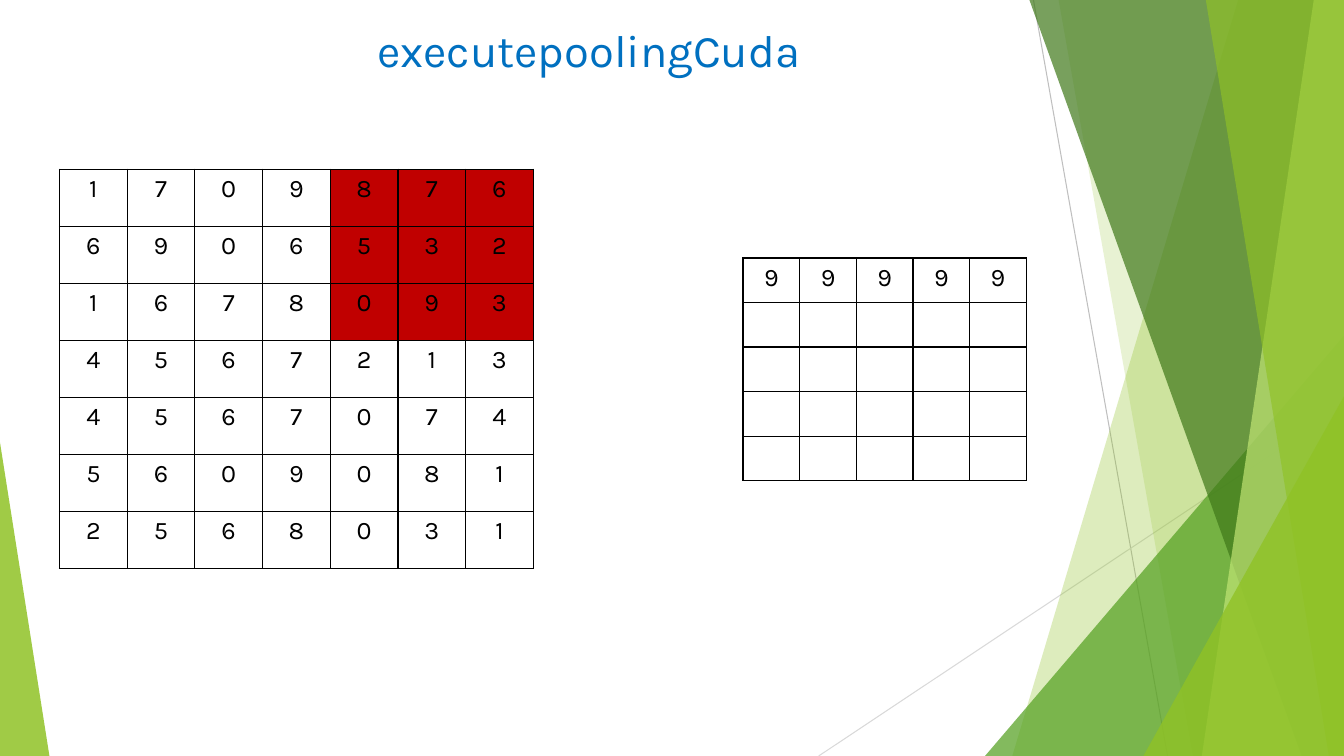
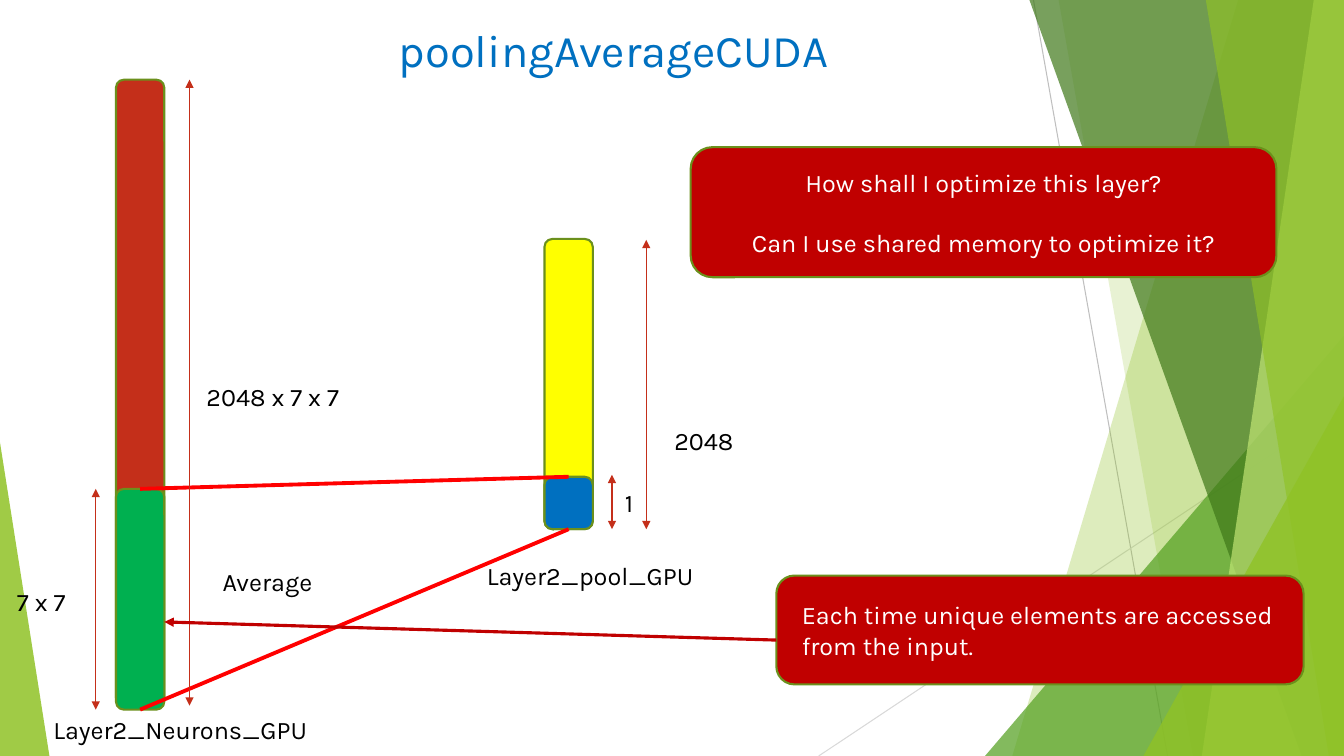
from lxml.etree import SubElement
from pptx import Presentation
from pptx.dml.color import RGBColor
from pptx.enum.shapes import MSO_CONNECTOR, MSO_SHAPE
from pptx.enum.text import MSO_ANCHOR, PP_ALIGN
from pptx.oxml.ns import qn
from pptx.util import Inches, Pt

LEFT, CENTER = PP_ALIGN.LEFT, PP_ALIGN.CENTER
TOP, MIDDLE = MSO_ANCHOR.TOP, MSO_ANCHOR.MIDDLE
ROUNDED, TRIANGLE = MSO_SHAPE.ROUNDED_RECTANGLE, MSO_SHAPE.ISOSCELES_TRIANGLE
STRAIGHT = MSO_CONNECTOR.STRAIGHT

WIDTH, HEIGHT = 13.33, 7.5
FONT = "Karla"
BLACK, WHITE, TITLE = "000000", "FFFFFF", "0070C0"
LIME, LEAF, FOREST, PALE = "90C226", "54A021", "3F7819", "C0E474"
OUTLINE, RUST, RED, CARD = "6B901C", "C42F1A", "FF0000", "C00000"
YELLOW, GREEN, BLUE = "FFFF00", "00B050", "0070C0"


def rgb(color):
    return RGBColor.from_string(color)


class Deck:
    def __init__(self):
        self.prs = Presentation()
        self.prs.slide_width = Inches(WIDTH)
        self.prs.slide_height = Inches(HEIGHT)
        self.slide = None

    def add_slide(self, title, left):
        self.slide = self.prs.slides.add_slide(self.prs.slide_layouts[6])
        self.backdrop()
        self.text(title, left, 0.17, 9.4, 0.75, size=32.4, color=TITLE, align=CENTER)

    # Shared green facets
    def backdrop(self):
        self.line((10.25, 0), (11.58, HEIGHT), "BFBFBF", 0.75)
        self.line((WIDTH, 4.03), (8.12, HEIGHT), "D9D9D9", 0.75)
        self.facet(12.28, 10.04, LIME, 30)
        self.facet(10.5, 11.83, LIME, 20)
        self.triangle(9.77, 3.33, 3.56, 1, LEAF, 72)
        self.facet(10.21, 12.91, FOREST, 70)
        self.facet(13.03, 11.92, PALE, 70)
        self.facet(11.96, 13.18, LIME, 65)
        self.triangle(11.34, 3.93, 1.99, 1, LIME, 80)
        self.triangle(0, 4.39, 0.49, 0, LIME, 85)

    def facet(self, top_x, bottom_x, color, opacity):
        """Full-height panel from a slanted left edge to the slide's right edge."""
        corners = [(WIDTH, 0), (WIDTH, HEIGHT), (bottom_x, HEIGHT)]
        builder = self.slide.shapes.build_freeform(Inches(top_x), 0)
        builder.add_line_segments([(Inches(x), Inches(y)) for x, y in corners])
        self.paint(builder.convert_to_shape(), color, opacity)

    def triangle(self, x, y, w, apex, color, opacity):
        """Triangle that stands on the bottom edge of the slide."""
        sp = self.slide.shapes.add_shape(
            TRIANGLE, Inches(x), Inches(y), Inches(w), Inches(HEIGHT - y))
        sp.adjustments[0] = apex
        self.paint(sp, color, opacity)

    def paint(self, sp, color, opacity=100, outline=None):
        sp.shadow.inherit = False
        sp.fill.solid()
        sp.fill.fore_color.rgb = rgb(color)
        if opacity < 100:
            fill = sp._element.spPr.find(qn("a:solidFill"))
            SubElement(fill[0], qn("a:alpha"), val=str(opacity * 1000))
        if outline:
            sp.line.color.rgb = rgb(outline)
            sp.line.width = Pt(1.5)
        else:
            sp.line.fill.background()

    # Lines and arrows
    def line(self, start, end, color, width, head=False, tail=False):
        points = [Inches(v) for v in (*start, *end)]
        cn = self.slide.shapes.add_connector(STRAIGHT, *points)
        cn.line.color.rgb = rgb(color)
        cn.line.width = Pt(width)
        spPr = cn._element.spPr
        for tag, wanted in (("a:headEnd", head), ("a:tailEnd", tail)):
            if wanted:
                SubElement(spPr.find(qn("a:ln")), qn(tag), type="triangle")
        SubElement(spPr, qn("a:effectLst"))

    def measure(self, x, top, bottom):
        self.line((x, bottom), (x, top), RUST, 1, head=True, tail=True)

    # Text
    def style(self, tf, size=18, color=BLACK, align=LEFT):
        for p in tf.paragraphs:
            p.alignment = align
            for r in p.runs:
                r.font.name = FONT
                r.font.size = Pt(size)
                r.font.color.rgb = rgb(color)

    def text(self, text, x, y, w, h=0.4, **style):
        tf = self.slide.shapes.add_textbox(
            Inches(x), Inches(y), Inches(w), Inches(h)).text_frame
        tf.word_wrap = True
        tf.vertical_anchor = TOP
        tf.text = text
        self.style(tf, **style)

    # Rounded bars and cards
    def box(self, x, y, w, h, color):
        sp = self.slide.shapes.add_shape(
            ROUNDED, Inches(x), Inches(y), Inches(w), Inches(h))
        self.paint(sp, color, outline=OUTLINE)
        return sp

    def card(self, lines, x, y, w, h, align=LEFT, margins=(0.1, 0.1)):
        tf = self.box(x, y, w, h, CARD).text_frame
        tf.word_wrap = True
        tf.vertical_anchor = MIDDLE
        tf.margin_left, tf.margin_right = (Inches(m) for m in margins)
        tf.text = "\n".join(lines)
        for p in tf.paragraphs[1:]:
            p.space_before = Pt(21)
        self.style(tf, color=WHITE, align=align)

    # Number grids
    def grid(self, rows, x, y, w, h, is_marked=lambda row, col: False):
        n = len(rows)
        table = self.slide.shapes.add_table(
            n, n, Inches(x), Inches(y), Inches(w), Inches(h)).table
        table.first_row = table.horz_banding = False
        for i, row in enumerate(rows):
            table.rows[i].height = Inches(h / n)
            table.columns[i].width = Inches(w / n)
            for j, value in enumerate(row):
                cell = table.cell(i, j)
                cell.text = value.strip()
                self.style(cell.text_frame, align=CENTER)
                self.borders(cell)
                cell.fill.solid()
                cell.fill.fore_color.rgb = rgb(CARD if is_marked(i, j) else WHITE)

    def borders(self, cell):
        tcPr = cell._tc.get_or_add_tcPr()
        for side in ("a:lnL", "a:lnR", "a:lnT", "a:lnB"):
            ln = SubElement(tcPr, qn(side), w=str(Pt(1)))
            SubElement(SubElement(ln, qn("a:solidFill")), qn("a:srgbClr"), val=BLACK)


def pooling_slide(deck):
    deck.add_slide("executepoolingCuda", 1.14)
    values = ["1709876", "6906532", "1678093", "4567213",
              "4567074", "5609081", "2568031"]
    deck.grid(values, 0.59, 1.68, 4.7, 3.96,
              is_marked=lambda row, col: row < 3 and col > 3)
    deck.grid(["99999"] + [" " * 5] * 4, 7.37, 2.56, 2.81, 2.21)


def average_slide(deck):
    deck.add_slide("poolingAverageCUDA", 1.39)
    bar_w, neurons_x, pool_x = 0.48, 1.15, 5.4
    neurons_mid, pool_mid = neurons_x + bar_w / 2, pool_x + bar_w / 2

    # Layers, each with the part that is averaged
    deck.box(neurons_x, 0.79, bar_w, 6.21, RUST)
    deck.box(pool_x, 2.37, bar_w, 2.88, YELLOW)
    deck.box(neurons_x, 4.85, bar_w, 2.19, GREEN)
    deck.box(pool_x, 4.73, bar_w, 0.52, BLUE)
    for neurons_y, pool_y in ((4.85, 4.73), (7.04, 5.25)):
        deck.line((neurons_mid, neurons_y), (pool_mid, pool_y), RED, 2.75)

    # Dimensions and labels
    for x, top, bottom in ((0.95, 4.85, 7.04), (1.88, 0.79, 7),
                           (6.07, 4.71, 5.25), (6.41, 2.38, 5.25)):
        deck.measure(x, top, bottom)
    for label, x, y, w in (("7 x 7", 0.07, 5.77, 1.19),
                           ("2048 x 7 x 7", 1.95, 3.73, 1.74),
                           ("1", 6.1, 4.79, 0.37),
                           ("2048", 6.59, 4.17, 1.05),
                           ("Average", 2.11, 5.57, 1.74),
                           ("Layer2_Neurons_GPU", 0.43, 7.04, 2.72),
                           ("Layer2_pool_GPU", 4.73, 5.51, 2.72)):
        deck.text(label, x, y, w)

    # Remarks
    deck.card(["Each time unique elements are accessed from the input."],
              7.7, 5.71, 5.23, 1.08, margins=(0.2, 0.05))
    deck.line((7.7, 6.35), (neurons_x + bar_w, 6.17), CARD, 2.25, tail=True)
    deck.card(["How shall I optimize this layer?",
               "Can I use shared memory to optimize it?"],
              6.85, 1.46, 5.81, 1.29, align=CENTER)


def main():
    deck = Deck()
    pooling_slide(deck)
    average_slide(deck)
    deck.prs.save("out.pptx")


if __name__ == "__main__":
    main()
